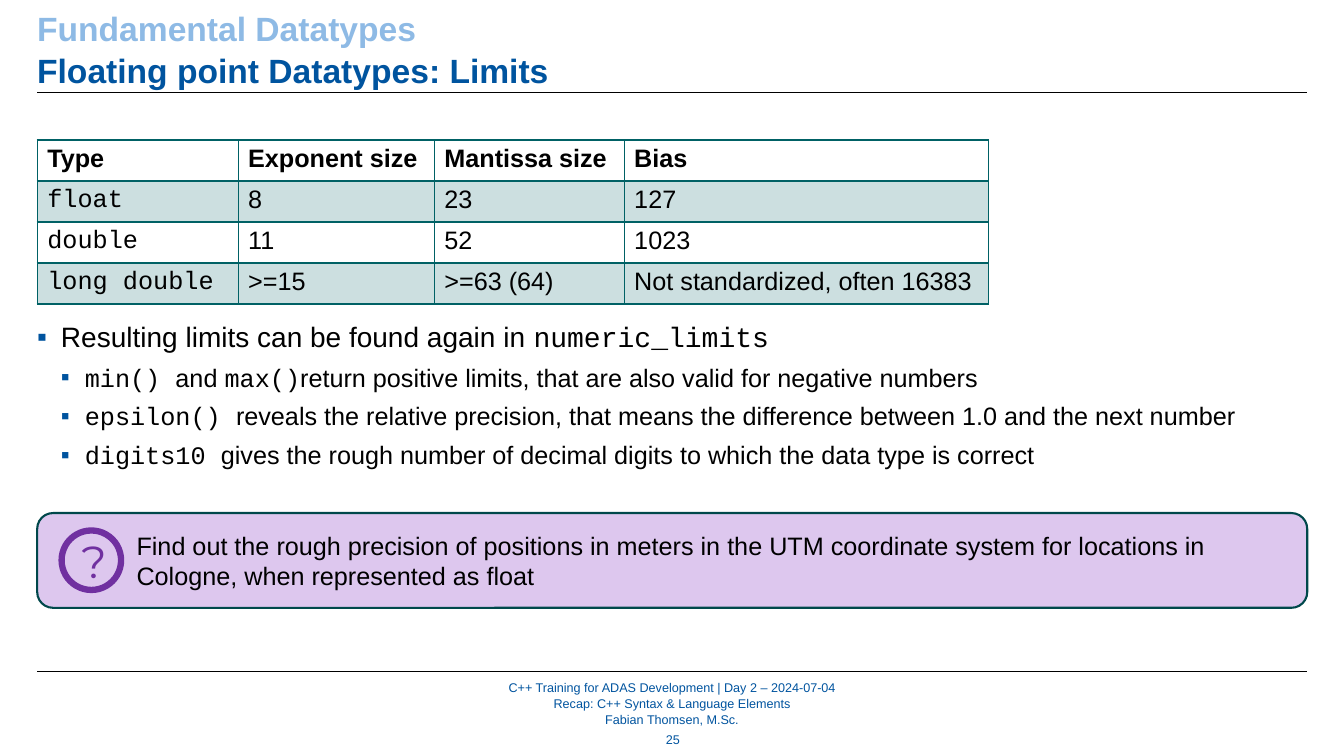
import pptx
import pptx.dml.color
import pptx.enum.shapes
import pptx.enum.text
import pptx.oxml
import pptx.oxml.ns
import pptx.util
import lxml.etree
from dataclasses import dataclass

Pt = pptx.util.Pt
Align = pptx.enum.text.PP_ALIGN
Anchor = pptx.enum.text.MSO_ANCHOR
Shape = pptx.enum.shapes.MSO_SHAPE
LEFT, WIDTH = 26.6, 907.2


@dataclass(frozen=True)
class Theme:
    sans: str = "Arial"
    mono: str = "Courier New"
    symbol: str = "Montserrat"
    blue: str = "00549F"
    light_blue: str = "8EBAE5"
    black: str = "000000"
    teal: str = "006165"
    dark_teal: str = "00484B"
    lilac: str = "AC75D5"
    purple: str = "7030A0"
    title: float = 24
    body: float = 20
    detail: float = 18
    footer: float = 9
    mark: float = 32


def rgb(value):
    return pptx.dml.color.RGBColor.from_string(value)


def child(parent, tag, **attributes):
    return lxml.etree.SubElement(parent, pptx.oxml.ns.qn(tag), attributes)


def paint(fill, holder, color, alpha):
    """Solid fill with an opacity in percent."""
    fill.solid()
    fill.fore_color.rgb = rgb(color)
    tint = holder.find(pptx.oxml.ns.qn("a:solidFill"))[0]
    child(tint, "a:alpha", val=str(alpha * 1000))


def write(paragraph, text, *, size, color="000000", font="Arial", bold=False,
          align=Align.LEFT, before=0):
    """Add one formatted run to a paragraph."""
    paragraph.alignment = align
    paragraph.space_before = Pt(before)
    run = paragraph.add_run()
    run.text = text
    run.font.size = Pt(size)
    run.font.name = font
    run.font.bold = bold
    run.font.color.rgb = rgb(color)


class SlideBuilder:
    def __init__(self, slide, theme):
        self.slide = slide
        self.theme = theme

    def frame(self, owner, anchor, margins):
        frame = owner.text_frame
        frame.word_wrap = True
        frame.vertical_anchor = anchor
        (frame.margin_left, frame.margin_top,
         frame.margin_right, frame.margin_bottom) = map(Pt, margins)
        return frame

    def text(self, x, y, w, h, lines, anchor=Anchor.TOP, gap=0, **style):
        """Text box; each line is a (text, colour) pair."""
        box = self.slide.shapes.add_textbox(Pt(x), Pt(y), Pt(w), Pt(h))
        frame = self.frame(box, anchor, (0, 0, 0, 0))
        for index, (line, color) in enumerate(lines):
            paragraph = frame.add_paragraph() if index else frame.paragraphs[0]
            write(paragraph, line, color=color, before=gap if index else 0, **style)

    def bullets(self, x, y, w, h, items):
        """Each item is a level and its (text, font) parts."""
        box = self.slide.shapes.add_textbox(Pt(x), Pt(y), Pt(w), Pt(h))
        frame = self.frame(box, Anchor.TOP, (0, 0, 0, 0))
        indent = 17
        for index, (level, parts) in enumerate(items):
            paragraph = frame.add_paragraph() if index else frame.paragraphs[0]
            paragraph.level = level
            paragraph.space_before = Pt(6 if index else 0)
            properties = paragraph._p.get_or_add_pPr()
            properties.set("marL", str(Pt(indent * (level + 1))))
            properties.set("indent", str(-Pt(indent)))
            child(child(properties, "a:buClr"), "a:srgbClr", val=self.theme.blue)
            child(properties, "a:buFont", typeface=self.theme.sans)
            child(properties, "a:buChar", char="▪")
            size = self.theme.detail if level else self.theme.body
            for part, font in parts:
                write(paragraph, part, size=size, font=font, before=6 if index else 0)

    def rule(self, y):
        line = self.slide.shapes.add_connector(
            pptx.enum.shapes.MSO_CONNECTOR.STRAIGHT,
            Pt(LEFT), Pt(y), Pt(LEFT + WIDTH), Pt(y))
        line.line.color.rgb = rgb(self.theme.black)
        line.line.width = Pt(0.5)
        child(line._element.spPr, "a:effectLst")

    def shape(self, kind, x, y, w, h, text, line, weight, margins, fill=None, **style):
        shape = self.slide.shapes.add_shape(kind, Pt(x), Pt(y), Pt(w), Pt(h))
        shape.shadow.inherit = False
        if fill:
            paint(shape.fill, shape._element.spPr, fill, 40)
        else:
            shape.fill.background()
        shape.line.color.rgb = rgb(line)
        shape.line.width = Pt(weight)
        frame = self.frame(shape, Anchor.MIDDLE, margins)
        write(frame.paragraphs[0], text, **style)

    def border(self, cell, side, weight):
        edge = child(cell._tc.get_or_add_tcPr(), f"a:ln{side}", w=str(Pt(weight)))
        child(child(edge, "a:solidFill"), "a:srgbClr", val=self.theme.teal)

    def table(self, x, y, widths, row_height, rows):
        table = self.slide.shapes.add_table(
            len(rows), len(widths), Pt(x), Pt(y),
            Pt(sum(widths)), Pt(row_height * len(rows))).table
        table.first_row = table.horz_banding = False
        for column, width in zip(table.columns, widths):
            column.width = Pt(width)
        for r, values in enumerate(rows):
            table.rows[r].height = Pt(row_height)
            for c, value in enumerate(values):
                cell = table.cell(r, c)
                for side in "LRTB":
                    heavy = (r, side) in ((0, "B"), (1, "T"))
                    self.border(cell, side, 2 if heavy else 1)
                if r % 2:
                    paint(cell.fill, cell._tc.tcPr, self.theme.teal, 20)
                else:
                    cell.fill.background()
                font = self.theme.mono if r and c == 0 else self.theme.sans
                write(cell.text_frame.paragraphs[0], value,
                      size=self.theme.detail, font=font, bold=r == 0)


def main():
    deck = pptx.Presentation()
    deck.slide_width, deck.slide_height = Pt(960), Pt(540)
    theme = Theme()
    page = SlideBuilder(deck.slides.add_slide(deck.slide_layouts[6]), theme)

    # Heading and footer
    page.text(LEFT, 5.6, WIDTH, 58,
              [("Fundamental Datatypes", theme.light_blue),
               ("Floating point Datatypes: Limits", theme.blue)],
              gap=1, size=theme.title, bold=True)
    for y in (66.2, 479.5):
        page.rule(y)
    footer = ["C++ Training for ADAS Development | Day 2 – 2024-07-04",
              "Recap: C++ Syntax & Language Elements",
              "Fabian Thomsen, M.Sc."]
    footer_style = dict(anchor=Anchor.MIDDLE, size=theme.footer, align=Align.CENTER)
    page.text(247, 486, 466, 33, [(line, theme.blue) for line in footer],
              gap=0.7, **footer_style)
    page.text(462, 519, 37.4, 19, [("25", theme.blue)], **footer_style)

    # Floating point formats
    page.table(LEFT, 100, [143.5, 140.2, 135.6, 260.4], 29.3, [
        ["Type", "Exponent size", "Mantissa size", "Bias"],
        ["float", "8", "23", "127"],
        ["double", "11", "52", "1023"],
        ["long double", ">=15", ">=63 (64)", "Not standardized, often 16383"],
    ])

    # Notes on numeric_limits
    sans, mono = theme.sans, theme.mono
    page.bullets(LEFT, 228.5, WIDTH, 120, [
        (0, [("Resulting limits can be found again in ", sans), ("numeric_limits", mono)]),
        (1, [("min() ", mono), ("and ", sans), ("max()", mono),
             ("return positive limits, that are also valid for negative numbers", sans)]),
        (1, [("epsilon() ", mono),
             ("reveals the relative precision, that means the difference "
              "between 1.0 and the next number", sans)]),
        (1, [("digits10 ", mono),
             ("gives the rough number of decimal digits to which "
              "the data type is correct", sans)]),
    ])

    # Exercise
    page.shape(Shape.ROUNDED_RECTANGLE, LEFT, 366.5, WIDTH, 67.7,
               "Find out the rough precision of positions in meters in the UTM coordinate "
               "system for locations in Cologne, when represented as float",
               theme.dark_teal, 1.5, (67.7, 3.6, 7.2, 3.6), theme.lilac, size=theme.detail)
    page.shape(Shape.OVAL, 44, 378.9, 42.5, 42.5, "?", theme.purple, 4.5,
               (8, 3.6, 7.2, 3.6), size=theme.mark, font=theme.symbol,
               color=theme.purple, align=Align.CENTER)

    deck.save("out.pptx")


if __name__ == "__main__":
    main()
